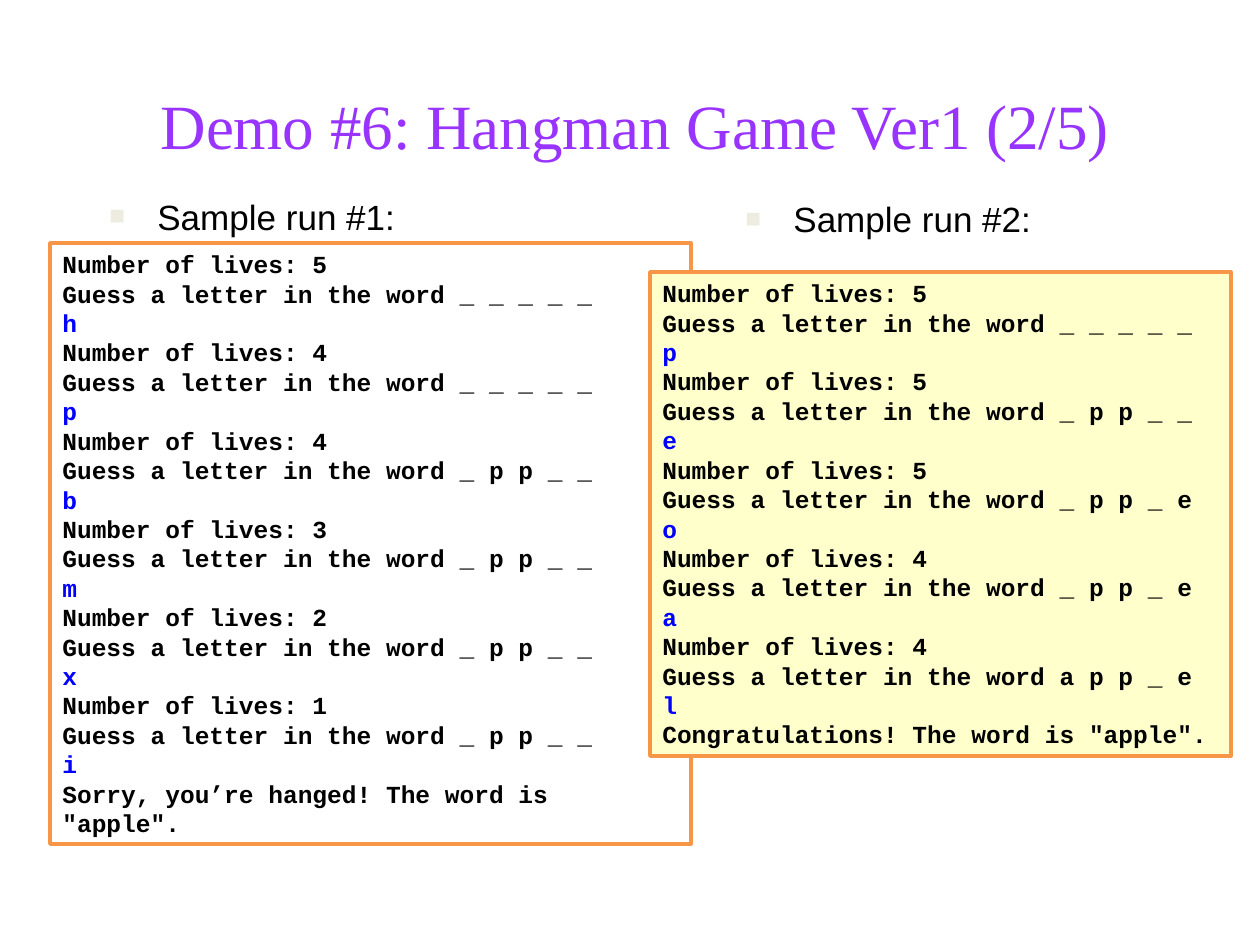
"""Build the Hangman demo slide with two sample runs side by side."""
from dataclasses import dataclass

from lxml.etree import SubElement
from pptx import Presentation
from pptx.dml.color import RGBColor
from pptx.enum.shapes import MSO_SHAPE as Shape
from pptx.enum.text import MSO_ANCHOR as Anchor, MSO_AUTO_SIZE as Fit, PP_ALIGN as Align
from pptx.oxml.ns import qn
from pptx.util import Pt

TITLE = ("Demo #6: Hangman Game Ver1 (2/5)", (73, 57, 1124, 134))

RUNS = [
    {
        "heading": "Sample run #1:",
        "heading_at": (97, 186, 375, 60),
        "panel_at": (50, 243, 641, 601),
        "fill": "FFFFFF",
        "turns": [
            (5, "_ _ _ _ _", "h"),
            (4, "_ _ _ _ _", "p"),
            (4, "_ p p _ _", "b"),
            (3, "_ p p _ _", "m"),
            (2, "_ p p _ _", "x"),
            (1, "_ p p _ _", "i"),
        ],
        "ending": 'Sorry, you’re hanged! The word is "apple".',
    },
    {
        "heading": "Sample run #2:",
        "heading_at": (733, 189, 396, 59),
        "panel_at": (650, 272, 581, 484),
        "fill": "FFFFCC",
        "turns": [
            (5, "_ _ _ _ _", "p"),
            (5, "_ p p _ _", "e"),
            (5, "_ p p _ e", "o"),
            (4, "_ p p _ e", "a"),
            (4, "a p p _ e", "l"),
        ],
        "ending": 'Congratulations! The word is "apple".',
    },
]


@dataclass(frozen=True)
class Theme:
    """Colours, fonts and type sizes of the slide."""

    title: tuple = ("Times New Roman", 36, False, "9933FF")
    heading: tuple = ("Arial", 20, False, "000000")
    output: tuple = ("Courier New", 14, True, "000000")
    guess: tuple = ("Courier New", 14, True, "0000FF")
    border: str = "F79646"
    bullet: str = "EEECE1"


THEME = Theme()
SCALE = 914400 / 126


def px(length):
    """Turn pixels into EMU."""
    return round(length * SCALE)


def set_frame(box, **values):
    """Give a box the shared text insets and its own frame settings."""
    frame = box.text_frame
    values = {
        "word_wrap": True,
        "margin_left": px(12.6),
        "margin_right": px(12.6),
        "margin_top": px(6.3),
        "margin_bottom": px(6.3),
        **values,
    }
    for name, value in values.items():
        setattr(frame, name, value)
    return frame


def write(para, text, style, align=Align.LEFT):
    """Write one styled span into a paragraph."""
    para.alignment = align
    span = para.add_run()
    span.text = text
    name, size, bold, color = style
    for key, value in {"name": name, "size": Pt(size), "bold": bold}.items():
        setattr(span.font, key, value)
    span.font.color.rgb = RGBColor.from_string(color)


def add_bullet(para):
    """Give a paragraph a small square bullet with a hanging indent."""
    props = para._p.get_or_add_pPr()
    props.set("marL", str(px(48)))
    props.set("indent", str(px(-48)))
    color = SubElement(props, qn("a:buClr"))
    SubElement(color, qn("a:srgbClr"), val=THEME.bullet)
    SubElement(props, qn("a:buSzPct"), val="75000")
    SubElement(props, qn("a:buFont"), typeface="Arial")
    SubElement(props, qn("a:buChar"), char="■")


def add_label(page, text, place, style, align=Align.LEFT, bullet=False):
    """Add a one-line text box, centred vertically."""
    box = page.shapes.add_textbox(*map(px, place))
    para = set_frame(box, vertical_anchor=Anchor.MIDDLE).paragraphs[0]
    if bullet:
        add_bullet(para)
    write(para, text, style, align)


def run_lines(run):
    """List the lines of a sample run with their styles."""
    lines = []
    for lives, word, letter in run["turns"]:
        lines += [
            (f"Number of lives: {lives}", THEME.output),
            (f"Guess a letter in the word {word}", THEME.output),
            (letter, THEME.guess),
        ]
    return lines + [(run["ending"], THEME.output)]


def add_panel(page, run):
    """Add the bordered panel that holds a sample run."""
    panel = page.shapes.add_shape(Shape.RECTANGLE, *map(px, run["panel_at"]))
    panel.shadow.inherit = False
    panel.fill.solid()
    panel.fill.fore_color.rgb = RGBColor.from_string(run["fill"])
    panel.line.color.rgb = RGBColor.from_string(THEME.border)
    panel.line.width = Pt(2)
    frame = set_frame(panel, vertical_anchor=Anchor.TOP, auto_size=Fit.SHAPE_TO_FIT_TEXT)
    for index, (text, style) in enumerate(run_lines(run)):
        para = frame.add_paragraph() if index else frame.paragraphs[0]
        write(para, text, style)


def main():
    """Build and save the deck."""
    deck = Presentation()
    deck.slide_width, deck.slide_height = px(1260), px(945)
    page = deck.slides.add_slide(deck.slide_layouts[6])
    add_label(page, *TITLE, THEME.title, Align.CENTER)
    for run in RUNS:
        add_label(page, run["heading"], run["heading_at"], THEME.heading, bullet=True)
        add_panel(page, run)
    deck.save("out.pptx")


if __name__ == "__main__":
    main()
